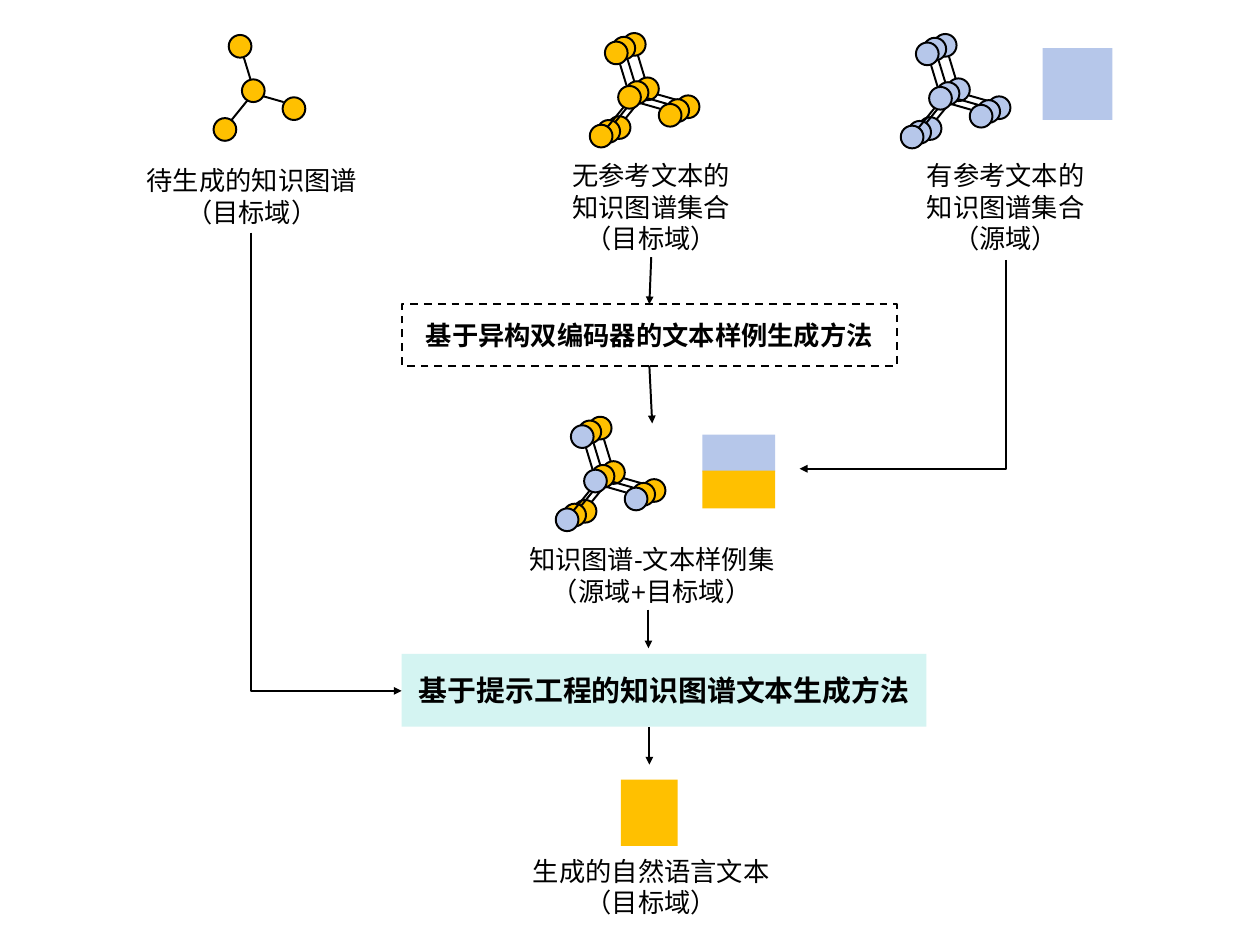
"""Build the knowledge-graph-to-text workflow slide."""
from lxml.etree import SubElement
from pptx import Presentation
from pptx.dml.color import RGBColor
from pptx.enum.dml import MSO_LINE
from pptx.enum.shapes import MSO_CONNECTOR, MSO_SHAPE
from pptx.enum.text import MSO_ANCHOR, PP_ALIGN
from pptx.oxml.ns import qn
from pptx.util import Inches, Pt

BLACK = RGBColor(0x00, 0x00, 0x00)
TARGET_GOLD = RGBColor(0xFF, 0xC0, 0x00)
SOURCE_BLUE = RGBColor(0xB6, 0xC7, 0xEA)
METHOD_MINT = RGBColor(0xD4, 0xF4, 0xF2)

NODE_SIZE = 0.24
NODES = [(0, 0), (0.14, 0.47), (-0.16, 0.88), (0.57, 0.66)]
EDGES = [
    ((0.16, 0.24), (0.23, 0.47)),
    ((0.03, 0.90), (0.20, 0.69)),
    ((0.58, 0.71), (0.37, 0.65)),
]
LAYER_OFFSETS = [(0, 0), (-0.11, 0.04), (-0.19, 0.09)]


def write(shape, text, size=20, bold=False, anchor=MSO_ANCHOR.TOP):
    frame = shape.text_frame
    frame.word_wrap = True
    frame.vertical_anchor = anchor
    frame.text = text
    for paragraph in frame.paragraphs:
        paragraph.alignment = PP_ALIGN.CENTER
        paragraph.font.name = "Arial"
        paragraph.font.size = Pt(size)
        paragraph.font.bold = bold
        paragraph.font.color.rgb = BLACK


def add_caption(slide, text, left, top, width, height):
    caption = slide.shapes.add_textbox(*map(Inches, (left, top, width, height)))
    write(caption, text)
    return caption


def add_block(slide, left, top, width, height, fill=None, outlined=False,
              kind=MSO_SHAPE.RECTANGLE):
    block = slide.shapes.add_shape(kind, *map(Inches, (left, top, width, height)))
    block.shadow.inherit = False
    if fill is None:
        block.fill.background()
    else:
        block.fill.solid()
        block.fill.fore_color.rgb = fill
    if outlined:
        block.line.color.rgb = BLACK
        block.line.width = Pt(1.5)
    else:
        block.line.fill.background()
    return block


def add_line(slide, start, end, kind=MSO_CONNECTOR.STRAIGHT, arrow=False):
    line = slide.shapes.add_connector(kind, *map(Inches, (*start, *end)))
    line.line.color.rgb = BLACK
    line.line.width = Pt(1.5)
    if arrow:
        SubElement(line.line._get_or_add_ln(), qn("a:tailEnd"), type="triangle")
    SubElement(line._element.spPr, qn("a:effectLst"))
    return line


def add_corner_arrow(slide, start, end, source, target=None):
    """Draw an arrow that goes down from source, then sideways to end."""
    arrow = add_line(slide, start, end, MSO_CONNECTOR.ELBOW, arrow=True)
    arrow.begin_connect(source, 2)
    if target is not None:
        arrow.end_connect(target, 1)
    (x1, y1), (x2, y2) = start, end
    middle_x, middle_y = (x1 + x2) / 2, (y1 + y2) / 2
    half_drop, half_run = (y2 - y1) / 2, (x2 - x1) / 2
    arrow.begin_x = Inches(middle_x - half_drop)
    arrow.end_x = Inches(middle_x + half_drop)
    arrow.begin_y = Inches(middle_y + half_run)
    arrow.end_y = Inches(middle_y - half_run)
    properties = arrow._element.spPr
    properties.find(qn("a:xfrm")).set("rot", "5400000")
    properties.find(qn("a:prstGeom")).set("prst", "bentConnector2")


def add_graph(slide, left, top, layer_colors):
    for (shift_x, shift_y), color in zip(LAYER_OFFSETS, layer_colors):
        x, y = left + shift_x, top + shift_y
        for node_x, node_y in NODES:
            add_block(slide, x + node_x, y + node_y, NODE_SIZE, NODE_SIZE,
                      fill=color, outlined=True, kind=MSO_SHAPE.OVAL)
        for (x1, y1), (x2, y2) in EDGES:
            add_line(slide, (x + x1, y + y1), (x + x2, y + y2))


def main():
    presentation = Presentation()
    presentation.slide_width = Inches(13.33)
    presentation.slide_height = Inches(10.02)
    slide = presentation.slides.add_slide(presentation.slide_layouts[6])

    add_graph(slide, 2.42, 0.37, [TARGET_GOLD])
    add_graph(slide, 6.59, 0.35, [TARGET_GOLD] * 3)
    add_graph(slide, 9.88, 0.36, [SOURCE_BLUE] * 3)
    add_graph(slide, 6.23, 4.41, [TARGET_GOLD, TARGET_GOLD, SOURCE_BLUE])

    add_block(slide, 11.03, 0.51, 0.74, 0.76, fill=SOURCE_BLUE)
    add_block(slide, 7.43, 4.6, 0.77, 0.39, fill=SOURCE_BLUE)
    add_block(slide, 7.43, 4.98, 0.77, 0.4, fill=TARGET_GOLD)
    add_block(slide, 6.57, 8.25, 0.6, 0.7, fill=TARGET_GOLD)

    input_graph = add_caption(slide, "待生成的知识图谱（目标域）", 1.43, 1.69, 2.47, 0.77)
    add_caption(slide, "无参考文本的\n知识图谱集合\n（目标域）", 5.95, 1.64, 1.88, 1.11)
    source_set = add_caption(slide, "有参考文本的\n知识图谱集合\n（源域）",
                             9.39, 1.64, 2.5, 1.11)
    add_caption(slide, "知识图谱-文本样例集\n（源域+目标域）", 5.34, 5.7, 3.11, 0.77)
    add_caption(slide, "生成的自然语言文本\n（目标域）", 5.46, 9, 2.86, 0.77)

    sample_method = add_block(slide, 4.25, 3.22, 5.24, 0.65, outlined=True)
    sample_method.line.dash_style = MSO_LINE.DASH
    write(sample_method, "基于异构双编码器的文本样例生成方法",
          bold=True, anchor=MSO_ANCHOR.MIDDLE)
    prompt_method = add_block(slide, 4.25, 6.92, 5.55, 0.77, fill=METHOD_MINT)
    write(prompt_method, "基于提示工程的知识图谱文本生成方法",
          size=22, bold=True, anchor=MSO_ANCHOR.MIDDLE)

    to_sample_method = add_line(slide, (6.89, 2.72), (6.87, 3.22), arrow=True)
    to_sample_method.end_connect(sample_method, 0)
    to_samples = add_line(slide, (6.87, 3.87), (6.9, 4.48), arrow=True)
    to_samples.begin_connect(sample_method, 2)
    add_line(slide, (6.86, 6.45), (6.86, 6.86), arrow=True)
    add_line(slide, (6.87, 7.69), (6.87, 8.09), arrow=True)
    add_corner_arrow(slide, (10.64, 2.75), (8.46, 4.96), source_set)
    add_corner_arrow(slide, (2.66, 2.46), (4.25, 7.31), input_graph, prompt_method)

    presentation.save("out.pptx")


if __name__ == "__main__":
    main()
